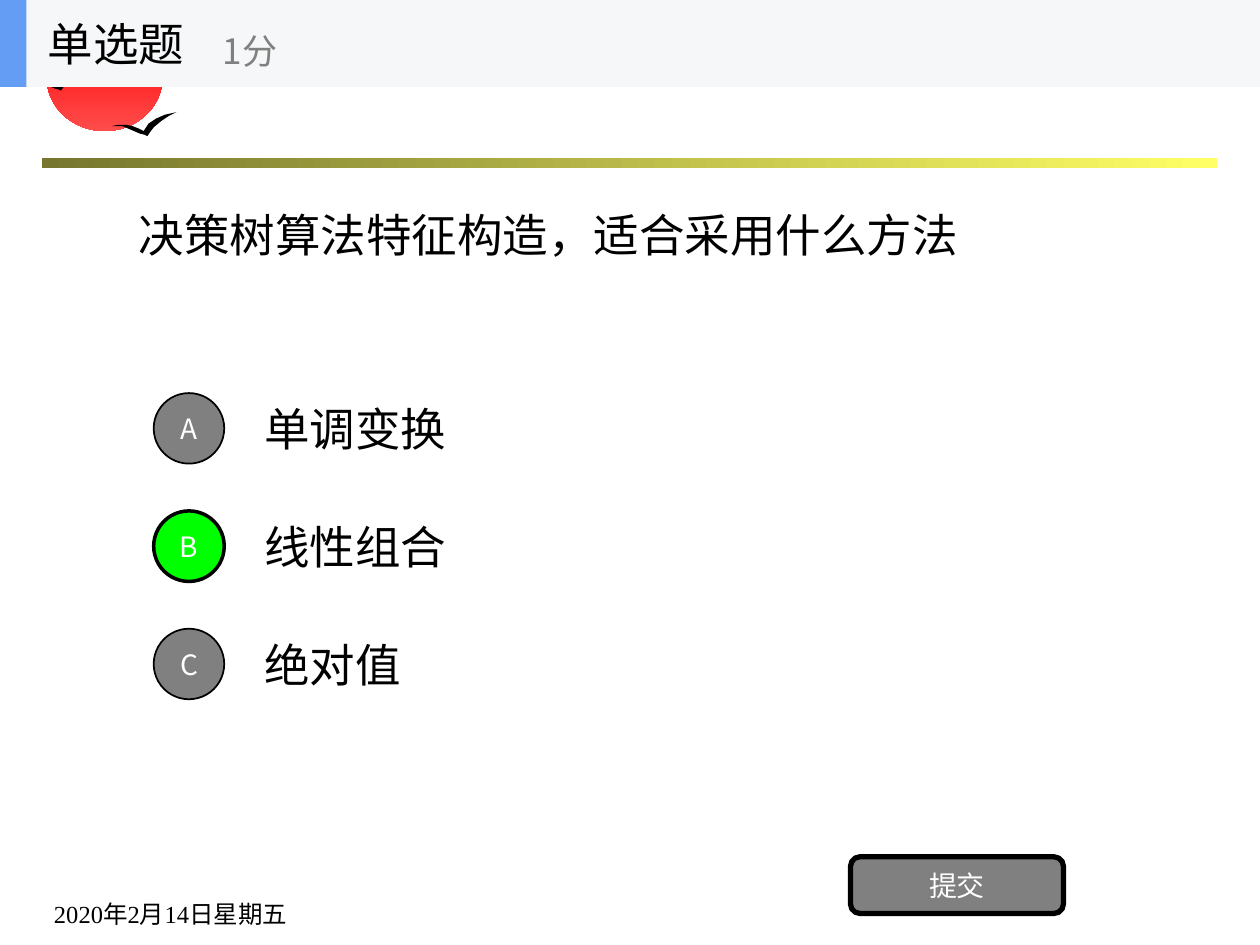
from pptx import Presentation
from pptx.dml.color import RGBColor
from pptx.enum.shapes import MSO_SHAPE
from pptx.enum.text import MSO_ANCHOR, MSO_AUTO_SIZE, PP_ALIGN
from pptx.oxml.ns import qn
from pptx.util import Inches, Pt
from lxml import etree

RECTANGLE, OVAL, ROUNDED = MSO_SHAPE.RECTANGLE, MSO_SHAPE.OVAL, MSO_SHAPE.ROUNDED_RECTANGLE
MIDDLE, BOTTOM = MSO_ANCHOR.MIDDLE, MSO_ANCHOR.BOTTOM
LEFT, CENTER = PP_ALIGN.LEFT, PP_ALIGN.CENTER
TITLE_ONLY = 5
SANS, SERIF = "Noto Sans CJK SC", "Times New Roman"
BLACK, WHITE, GRAY, GREEN = "000000", "FFFFFF", "808080", "00FF00"
color = RGBColor.from_string

presentation = Presentation()
presentation.slide_width, presentation.slide_height = Inches(10), Inches(7.5)
slide = presentation.slides.add_slide(presentation.slide_layouts[TITLE_ONLY])


def write(shape, text, size, text_color=BLACK, anchor=MIDDLE, align=LEFT, font=SANS):
    frame = shape.text_frame
    format_values = {"word_wrap": True, "auto_size": MSO_AUTO_SIZE.NONE, "vertical_anchor": anchor}
    for name, value in format_values.items():
        setattr(frame, name, value)
    paragraph = frame.paragraphs[0]
    paragraph.alignment = align
    run = paragraph.add_run()
    run.text = text
    run.font.name, run.font.size = font, Pt(size)
    run.font.color.rgb = color(text_color)
    east_asian = etree.SubElement(run.font._element, qn("a:ea"))
    east_asian.set("typeface", SANS)


def add_box(kind, place, fill, line_width=0, gradient_angle=0):
    """Add a preset shape; a pair of fill colours makes a gradient."""
    shape = slide.shapes.add_shape(kind, *map(Inches, place))
    shape.shadow.inherit = False
    if isinstance(fill, tuple):
        shape.fill.gradient()
        shape.fill.gradient_angle = gradient_angle
        for stop, stop_color in zip(shape.fill.gradient_stops, fill):
            stop.color.rgb = color(stop_color)
    else:
        shape.fill.solid()
        shape.fill.fore_color.rgb = color(fill)
    if line_width:
        shape.line.color.rgb = color(BLACK)
        shape.line.width = Pt(line_width)
    else:
        shape.line.fill.background()
    return shape


# Background decoration: rule, sun and two birds
add_box(RECTANGLE, (0.33, 1.25, 9.33, 0.08), ("76762F", "FFFF66"))
add_box(OVAL, (0.37, 0.19, 0.92, 0.85), ("FF0000", "FF4C4C"), gradient_angle=270)

# Bird outline in hundredths of an inch
bird_points = [
    (0, 11), (5, 10), (11, 10), (16, 11), (21, 13), (25, 15), (29, 9),
    (35, 5), (42, 2), (51, 0), (45, 3), (39, 7), (33, 12), (30, 16),
    (28, 19), (26, 18), (22, 17), (15, 14), (8, 11),
]
for left, top, scale in [(0.25, 0.56, 0.84), (0.89, 0.89, 1)]:
    builder = slide.shapes.build_freeform(*bird_points[0], scale=Inches(0.01) * scale)
    builder.add_line_segments(bird_points[1:], close=True)
    bird = builder.convert_to_shape(Inches(left), Inches(top))
    bird.shadow.inherit = False
    bird.fill.solid()
    bird.fill.fore_color.rgb = color(BLACK)
    bird.line.fill.background()

# Question
question = slide.shapes.title
question.left, question.top = Inches(1), Inches(0.69)
question.width, question.height = Inches(8), Inches(2.34)
write(question, "决策树算法特征构造，适合采用什么方法", 26)

# Answer options
options = [("A", "单调变换", GRAY, 1), ("B", "线性组合", GREEN, 2), ("C", "绝对值", GRAY, 1)]
for index, (letter, answer, fill, line_width) in enumerate(options):
    top = 3.05 + index * 0.935
    answer_box = slide.shapes.add_textbox(Inches(2), Inches(top), Inches(7), Inches(0.7))
    write(answer_box, answer, 26)
    circle = add_box(OVAL, (1.22, top + 0.07, 0.56, 0.56), fill, line_width)
    frame = circle.text_frame
    frame.margin_left = frame.margin_right = frame.margin_top = frame.margin_bottom = 0
    write(circle, letter, 16, WHITE, align=CENTER)

submit_button = add_box(ROUNDED, (6.75, 6.8, 1.69, 0.45), GRAY, 3)
write(submit_button, "提交", 16, WHITE, align=CENTER)

# Header band
add_box(RECTANGLE, (0, 0, 10, 0.69), "F6F7F8")
add_box(RECTANGLE, (0, 0, 0.21, 0.69), "639EF4")

# Header labels and date
labels = [
    ((0.28, 0, 2.08, 0.69), "单选题", 26, {}),
    ((1.67, 0.12, 2.5, 0.56), "1分", 20, {"text_color": GRAY}),
    ((0.33, 6.92, 2.75, 0.5), "2020年2月14日星期五", 14, {"anchor": BOTTOM, "font": SERIF}),
]
for place, text, size, text_format in labels:
    label = slide.shapes.add_textbox(*map(Inches, place))
    write(label, text, size, **text_format)

presentation.save("out.pptx")
